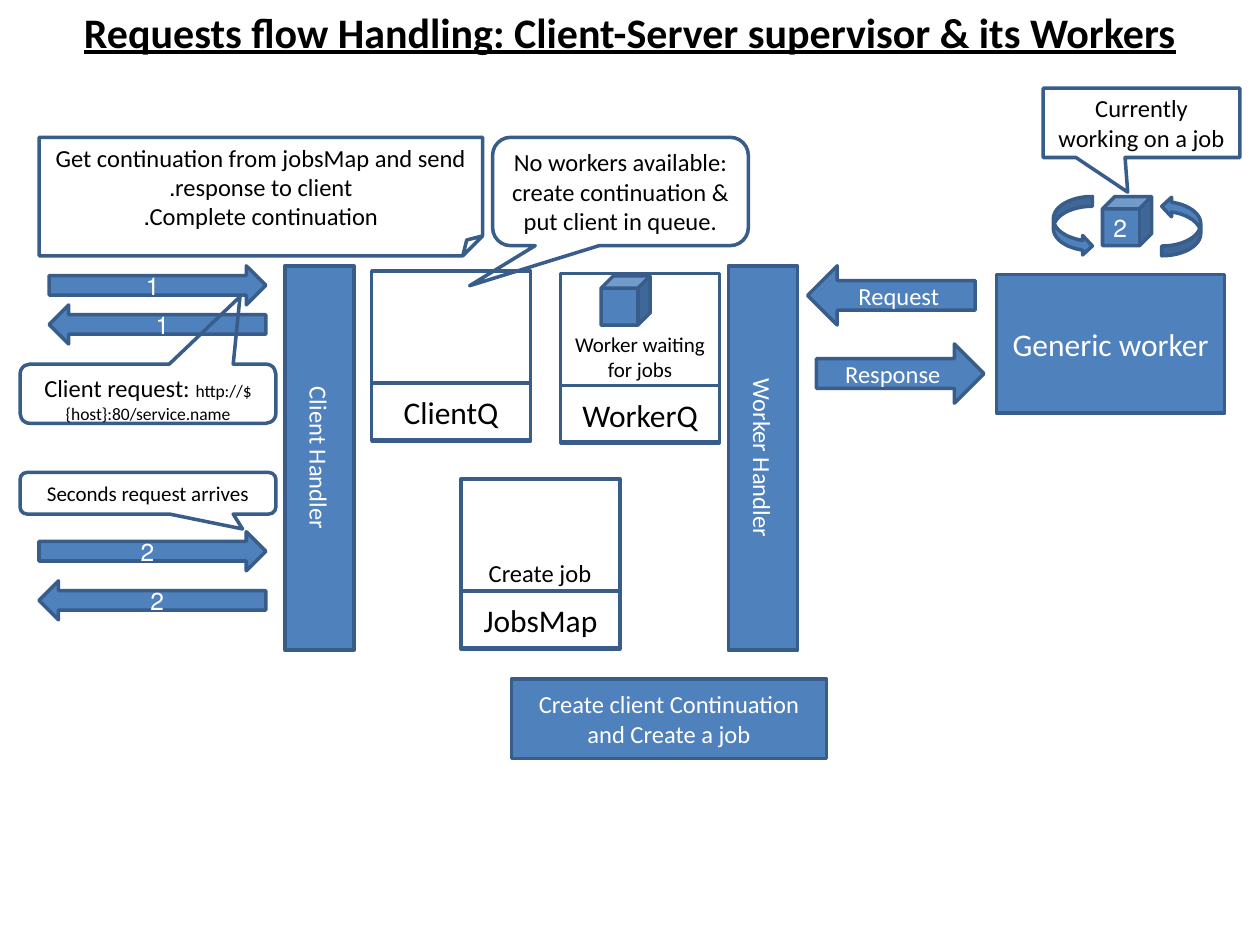
from pptx import Presentation
from pptx.dml.color import RGBColor
from pptx.enum.shapes import MSO_SHAPE
from pptx.enum.text import MSO_ANCHOR, PP_ALIGN
from pptx.util import Inches, Pt


def color(value):
    return RGBColor.from_string(value)


def write_text(frame, paragraphs, size=14, ink="000000", font="Calibri",
               anchor=MSO_ANCHOR.MIDDLE, rtl=True, bold=False, underline=False):
    frame.word_wrap = True
    frame.vertical_anchor = anchor
    for index, spans in enumerate(paragraphs):
        para = frame.paragraphs[0] if index == 0 else frame.add_paragraph()
        para.alignment = PP_ALIGN.CENTER
        if rtl:
            para._p.get_or_add_pPr().set("rtl", "1")
        if isinstance(spans, str):
            spans = [(spans, size)]
        for words, points in spans:
            span = para.add_run()
            span.text = words
            span.font.name = font
            span.font.size = Pt(points)
            span.font.bold = bold
            span.font.underline = underline
            span.font.color.rgb = color(ink)


class Diagram:
    blue = "4F81BD"
    edge = "385D8A"
    white = "FFFFFF"
    line_width = 2

    def __init__(self, page):
        self.page = page

    def text(self, place, *paragraphs, **style):
        box = self.page.shapes.add_textbox(*map(Inches, place))
        write_text(box.text_frame, paragraphs, anchor=MSO_ANCHOR.TOP, **style)

    def shape(self, kind, place, *paragraphs, fill=None, rotation=0,
              adjust=(), **style):
        shape = self.page.shapes.add_shape(kind, *map(Inches, place))
        shape.shadow.inherit = False
        shape.rotation = rotation
        for index, value in enumerate(adjust):
            shape.adjustments[index] = value
        if fill:
            shape.fill.solid()
            shape.fill.fore_color.rgb = color(fill)
        else:
            shape.fill.background()
        shape.line.color.rgb = color(self.edge)
        shape.line.width = Pt(self.line_width)
        if paragraphs:
            write_text(shape.text_frame, paragraphs, **style)

    def solid(self, kind, place, *paragraphs, **style):
        self.shape(kind, place, *paragraphs, fill=self.blue, ink=self.white, **style)

    def cube(self, left, top, *paragraphs):
        self.solid(MSO_SHAPE.CUBE, (left, top, 0.39, 0.39), *paragraphs)

    def handler(self, center, label):
        self.solid(MSO_SHAPE.FLOWCHART_PROCESS, (center - 1.525, 3.36, 3.05, 0.55),
                   label, rotation=90)

    def store(self, left, top, label):
        self.shape(MSO_SHAPE.RECTANGLE, (left, top, 1.26, 1.34))
        self.shape(MSO_SHAPE.RECTANGLE, (left, top + 0.89, 1.26, 0.46), label, size=18)


deck = Presentation()
deck.slide_width = Inches(10)
deck.slide_height = Inches(7.5)
diagram = Diagram(deck.slides.add_slide(deck.slide_layouts[6]))

diagram.text((0, 0, 10, 0.5),
             "Requests flow Handling: Client-Server supervisor & its Workers",
             size=24, bold=True, underline=True)

diagram.cube(2.27, 4.14)
for center, label in ((2.535, "Client Handler"), (6.055, "Worker Handler")):
    diagram.handler(center, label)

for kind, place, label in (
    (MSO_SHAPE.RIGHT_ARROW, (0.39, 2.11, 1.72, 0.31), "1"),
    (MSO_SHAPE.LEFT_ARROW, (0.39, 2.42, 1.72, 0.31), "1"),
    (MSO_SHAPE.RIGHT_ARROW, (0.31, 4.22, 1.8, 0.31), "2"),
    (MSO_SHAPE.LEFT_ARROW, (0.31, 4.61, 1.8, 0.31), "2"),
    (MSO_SHAPE.LEFT_ARROW, (6.41, 2.11, 1.33, 0.47), "Request"),
    (MSO_SHAPE.RIGHT_ARROW, (6.48, 2.73, 1.33, 0.47), "Response"),
    (MSO_SHAPE.FLOWCHART_PROCESS, (4.06, 5.39, 2.5, 0.63),
     "Create client Continuation and Create a job"),
):
    diagram.solid(kind, place, label)

diagram.solid(MSO_SHAPE.RECTANGLE, (7.91, 2.18, 1.81, 1.1), "Generic worker", size=18)
for left, rotation in ((8.36, 0), (9.22, 180)):
    diagram.solid(MSO_SHAPE.CURVED_RIGHT_ARROW, (left, 1.56, 0.31, 0.47),
                  rotation=rotation)
diagram.cube(8.75, 1.56, "2")
diagram.cube(4.77, 2.19)

for left, top, label in ((4.45, 2.17, "WorkerQ"), (2.95, 2.15, "ClientQ"),
                         (3.66, 3.8, "JobsMap")):
    diagram.store(left, top, label)
diagram.text((4.45, 2.58, 1.26, 0.5), "Worker waiting", "for jobs", size=12, rtl=False)
diagram.text((3.74, 4.38, 1.09, 0.34), "Create job")

diagram.shape(MSO_SHAPE.FOLDED_CORNER, (0.31, 1.09, 3.52, 0.94),
              "Get continuation from jobsMap and send response to client.",
              "Complete continuation.")
diagram.shape(MSO_SHAPE.RECTANGULAR_CALLOUT, (8.28, 0.7, 1.56, 0.55),
              "Currently working on a job", adjust=(-0.07, 1))
diagram.shape(MSO_SHAPE.ROUNDED_RECTANGULAR_CALLOUT, (3.91, 1.09, 2.03, 0.86),
              "No workers available: create continuation & put client in queue.",
              adjust=(-0.59, 0.87), rtl=False)
diagram.shape(MSO_SHAPE.ROUNDED_RECTANGULAR_CALLOUT, (0.16, 2.89, 2.03, 0.47),
              [("Client request: ", 14), ("http://${host}:80/service.name", 10)],
              adjust=(0.36, -1.64), anchor=MSO_ANCHOR.TOP)
diagram.shape(MSO_SHAPE.ROUNDED_RECTANGULAR_CALLOUT, (0.16, 3.75, 2.03, 0.33),
              "Seconds request arrives", adjust=(0.37, 0.86),
              size=12, anchor=MSO_ANCHOR.TOP)

deck.save("out.pptx")
